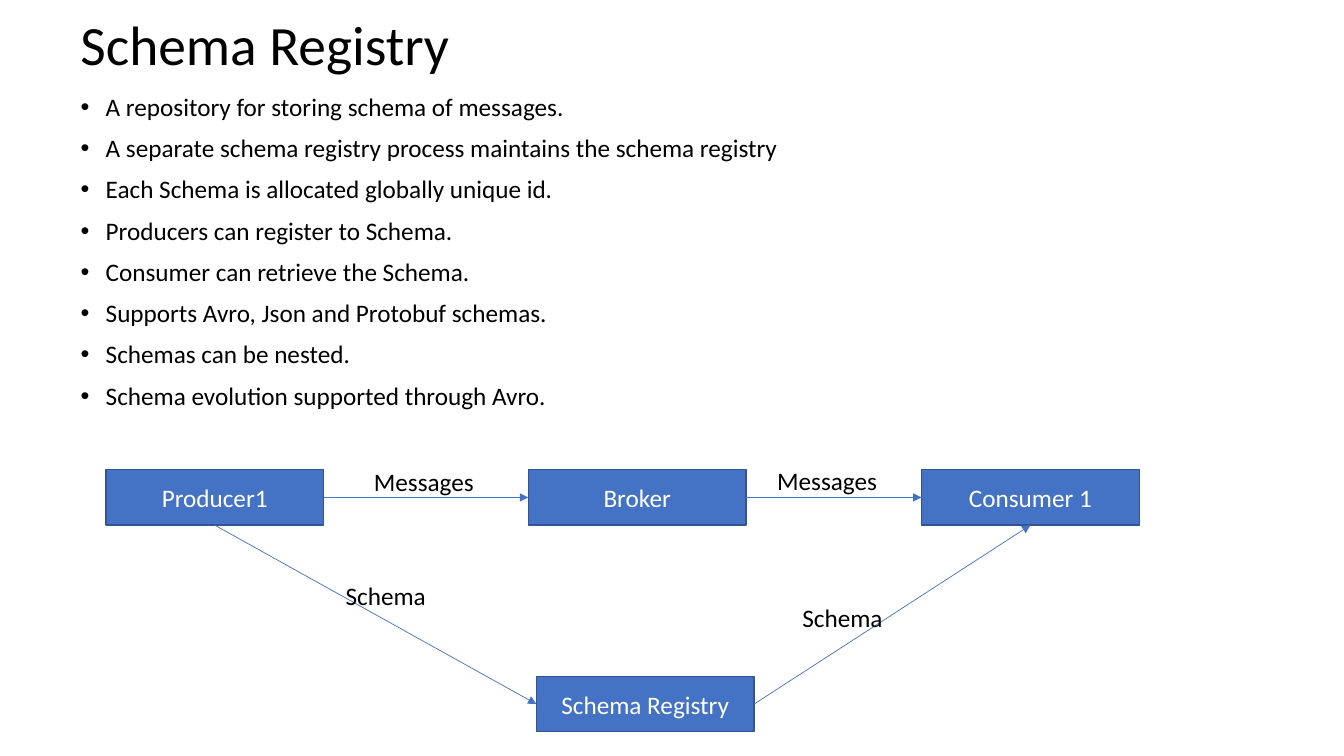
from dataclasses import dataclass
from enum import IntEnum

from lxml.etree import SubElement
from pptx import Presentation
from pptx.dml.color import RGBColor
from pptx.enum.shapes import MSO_CONNECTOR, MSO_SHAPE
from pptx.enum.text import MSO_ANCHOR, PP_ALIGN
from pptx.oxml.ns import qn
from pptx.shapes.autoshape import Shape
from pptx.text.text import TextFrame
from pptx.util import Inches, Pt

BLACK = RGBColor(0x00, 0x00, 0x00)
WHITE = RGBColor(0xFF, 0xFF, 0xFF)
BLUE = RGBColor(0x44, 0x72, 0xC4)
DARK_BLUE = RGBColor(0x32, 0x54, 0x91)
FONT = "Calibri"
NODE_WIDTH, NODE_HEIGHT = 2.16, 0.55
FLOW_TOP = 4.66
BULLET_INDENT = 0.25


class Side(IntEnum):
    TOP = 0
    LEFT = 1
    BOTTOM = 2
    RIGHT = 3


@dataclass(frozen=True)
class Node:
    name: str
    left: float
    top: float = FLOW_TOP


@dataclass(frozen=True)
class Flow:
    source: Node
    exit_side: Side
    target: Node
    entry_side: Side


@dataclass(frozen=True)
class Label:
    text: str
    left: float
    top: float
    width: float = 1.37
    height: float = 0.4


PRODUCER = Node("Producer1", 1.05)
BROKER = Node("Broker", 5.24)
CONSUMER = Node("Consumer 1", 9.14)
REGISTRY = Node("Schema Registry", 5.32, 6.71)
NODES = [PRODUCER, CONSUMER, BROKER, REGISTRY]

FLOWS = [
    Flow(PRODUCER, Side.RIGHT, BROKER, Side.LEFT),
    Flow(BROKER, Side.RIGHT, CONSUMER, Side.LEFT),
    Flow(PRODUCER, Side.BOTTOM, REGISTRY, Side.LEFT),
    Flow(REGISTRY, Side.RIGHT, CONSUMER, Side.BOTTOM),
]

FLOW_LABELS = [
    Label("Messages", 3.61, 4.58, 1.27),
    Label("Messages", 7.61, 4.57),
    Label("Schema", 7.86, 5.93),
    Label("Schema", 3.33, 5.71),
]

TITLE = Label("Schema Registry", 0.7, 0.2, 11.5, 0.55)
FEATURES = Label(
    "\n".join([
        "A repository for storing schema of messages.",
        "A separate schema registry process maintains the schema registry",
        "Each Schema is allocated globally unique id.",
        "Producers can register to Schema.",
        "Consumer can retrieve the Schema.",
        "Supports Avro, Json and Protobuf schemas.",
        "Schemas can be nested.",
        "Schema evolution supported through Avro.",
    ]),
    0.7, 0.89, 11.72, 3.32,
)


def write_text(
    frame: TextFrame,
    text: str,
    *,
    size: float = 18,
    color: RGBColor = BLACK,
    align: PP_ALIGN = PP_ALIGN.LEFT,
    anchor: MSO_ANCHOR = MSO_ANCHOR.TOP,
    line_spacing: float = 1.0,
    space_before: float = 0,
    bulleted: bool = False,
) -> None:
    frame.word_wrap = True
    frame.vertical_anchor = anchor
    frame.text = text
    for paragraph in frame.paragraphs:
        paragraph.alignment = align
        paragraph.line_spacing = line_spacing
        paragraph.space_before = Pt(space_before)
        font = paragraph.runs[0].font
        font.name = FONT
        font.size = Pt(size)
        font.color.rgb = color
        if bulleted:
            properties = paragraph._p.get_or_add_pPr()
            properties.set("marL", str(Inches(BULLET_INDENT)))
            properties.set("indent", str(-Inches(BULLET_INDENT)))
            SubElement(properties, qn("a:buFont"), typeface="Arial")
            SubElement(properties, qn("a:buChar"), char="•")


def add_label(label: Label, **text_format) -> None:
    box = slide.shapes.add_textbox(
        Inches(label.left), Inches(label.top), Inches(label.width), Inches(label.height)
    )
    write_text(box.text_frame, label.text, **text_format)


def add_node(node: Node) -> Shape:
    box = slide.shapes.add_shape(
        MSO_SHAPE.RECTANGLE,
        Inches(node.left), Inches(node.top), Inches(NODE_WIDTH), Inches(NODE_HEIGHT),
    )
    box.shadow.inherit = False
    box.fill.solid()
    box.fill.fore_color.rgb = BLUE
    box.line.color.rgb = DARK_BLUE
    box.line.width = Pt(1)
    write_text(box.text_frame, node.name, color=WHITE,
               align=PP_ALIGN.CENTER, anchor=MSO_ANCHOR.MIDDLE)
    return box


def add_flow(flow: Flow, boxes: dict[Node, Shape]) -> None:
    arrow = slide.shapes.add_connector(MSO_CONNECTOR.STRAIGHT, 0, 0, 0, 0)
    arrow.begin_connect(boxes[flow.source], flow.exit_side.value)
    arrow.end_connect(boxes[flow.target], flow.entry_side.value)
    arrow.line.color.rgb = BLUE
    arrow.line.width = Pt(0.5)
    SubElement(arrow.line._get_or_add_ln(), qn("a:tailEnd"), type="triangle")
    SubElement(arrow._element.spPr, qn("a:effectLst"))


presentation = Presentation()
presentation.slide_width = Inches(13.33)
presentation.slide_height = Inches(7.5)
slide = presentation.slides.add_slide(presentation.slide_layouts[6])

add_label(TITLE, size=39.6, anchor=MSO_ANCHOR.MIDDLE, line_spacing=0.9)
add_label(FEATURES, line_spacing=0.9, space_before=10, bulleted=True)
node_boxes = {node: add_node(node) for node in NODES}
for flow in FLOWS:
    add_flow(flow, node_boxes)
for flow_label in FLOW_LABELS:
    add_label(flow_label)

presentation.save("out.pptx")
